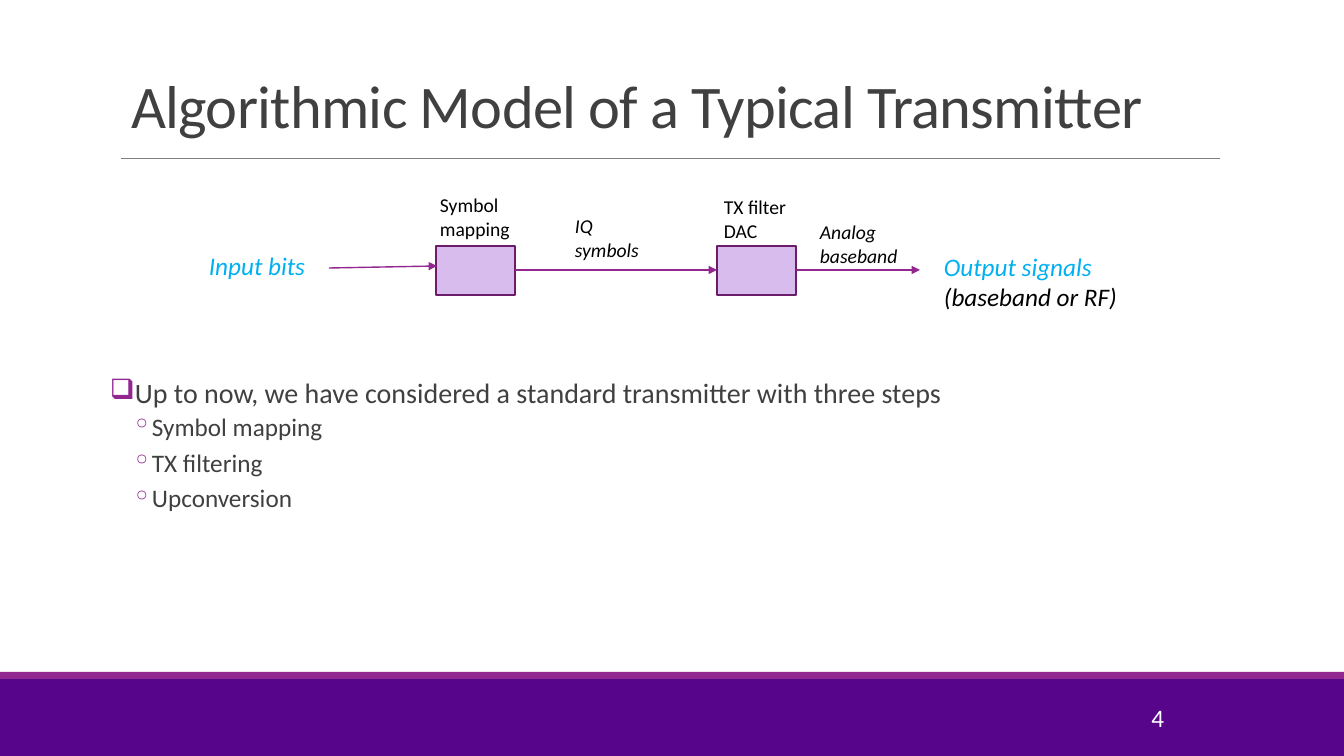
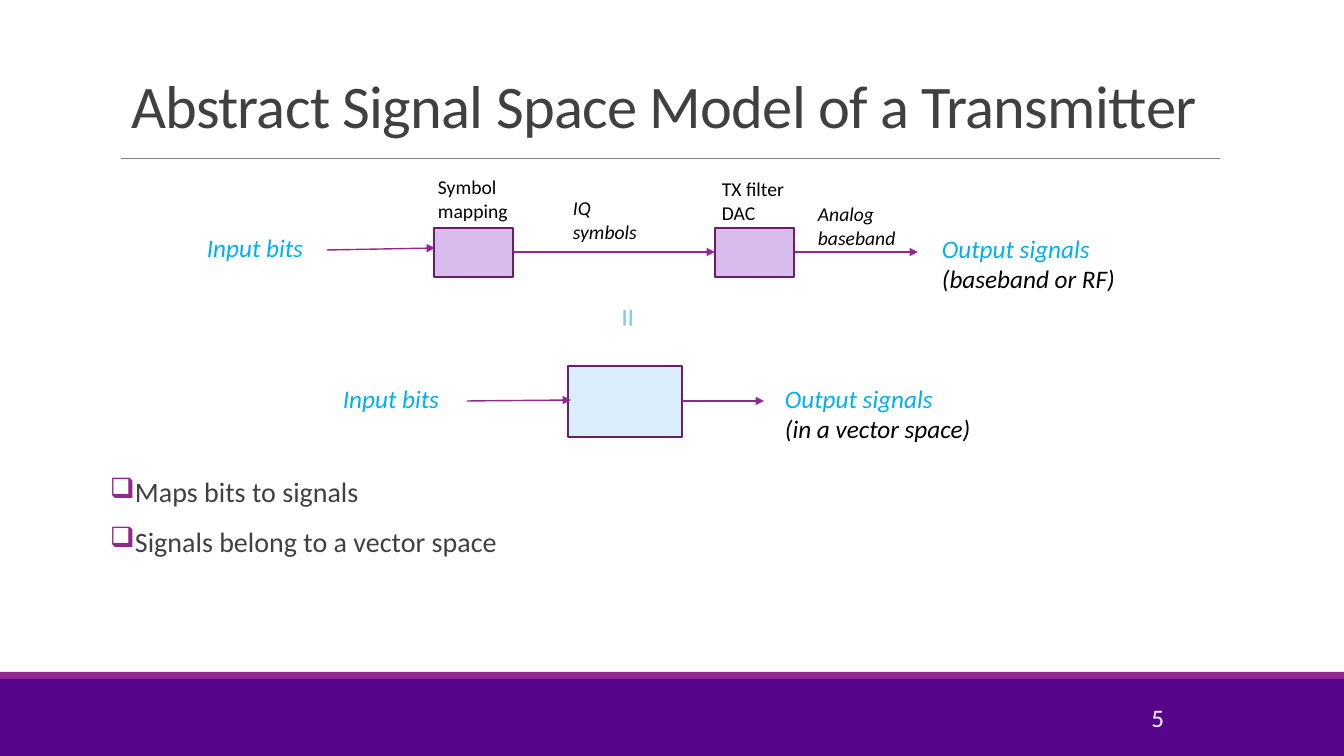
"""Build two slides on the algorithmic and the signal space model of a transmitter."""
from lxml.etree import SubElement
from pptx import Presentation
from pptx.dml.color import RGBColor
from pptx.enum.shapes import MSO_CONNECTOR, MSO_SHAPE
from pptx.enum.text import MSO_ANCHOR, MSO_AUTO_SIZE, PP_ALIGN
from pptx.oxml.ns import qn
from pptx.util import Emu, Pt

EMU_PER_PX = 914400 / 100.8
PAGE_SIZE = (1344, 756)
FONT = "Calibri"
COLORS = {
    "footer": "57068C", "accent": "92278F", "rule": "808080", "text": "404040",
    "white": "FFFFFF", "black": "000000", "signal": "00B0F0",
    "stage": "D7BCED", "model": "DAEDFB", "outline": "6C1D6A", "equals": "8FC9F4",
}

BANDS = [((0, 679, 1344, 77), "footer"), ((0, 672, 1344, 7), "accent")]
TITLE_RULE = ((121, 158), (1220, 158))
TITLE_AREA = (121, 31, 1109, 115)
NUMBER_AREA = (1030, 697, 144, 40)
BODY_LEFT, BODY_WIDTH, BODY_BOTTOM = 110, 1120, 647

LABEL_STYLES = {
    "stage": {"size": 14, "colors": ["black"], "italic": False},
    "flow": {"size": 14, "colors": ["black"], "italic": True},
    "signal": {"size": 18, "colors": ["signal", "black"], "italic": True},
}
BULLETS = [
    {"char": "❑", "size": 20, "margin": 10, "hang": 10, "before": 12, "after": 2},
    {"char": "◦", "size": 18, "margin": 42, "hang": 20, "before": 2, "after": 4},
]

TRANSMITTER = {
    "boxes": [((436, 246, 79, 49), "stage"), ((717, 246, 79, 49), "stage")],
    "arrows": [((329, 268), (437, 266)), ((515, 270), (717, 270)), ((796, 270), (920, 270))],
    "labels": [
        ((430, 188, 104, 57), "stage", ["Symbol mapping"]),
        ((714, 190, 104, 57), "stage", ["TX filter DAC"]),
        ((565, 209, 96, 57), "flow", ["IQ symbols"]),
        ((810, 215, 105, 57), "flow", ["Analog baseband"]),
        ((199, 245, 134, 40), "signal", ["Input bits"]),
        ((934, 246, 228, 72), "signal", ["Output signals", "(baseband or RF)"]),
    ],
}
SIGNAL_SPACE = {
    "boxes": [((568, 366, 114, 71), "model")],
    "arrows": [((467, 401), (571, 400)), ((682, 401), (764, 401))],
    "labels": [
        ((333, 378, 134, 40), "signal", ["Input bits"]),
        ((775, 378, 228, 72), "signal", ["Output signals", "(in a vector space)"]),
    ],
}
PAGES = [
    {
        "title": "Algorithmic Model of a Typical Transmitter",
        "number": "4",
        "diagrams": [(TRANSMITTER, (0, 0))],
        "equals": None,
        "body_top": 374,
        "body": [
            (0, "Up to now, we have considered a standard transmitter with three steps"),
            (1, "Symbol mapping"),
            (1, "TX filtering"),
            (1, "Upconversion"),
        ],
    },
    {
        "title": "Abstract Signal Space Model of a Transmitter",
        "number": "5",
        "diagrams": [(TRANSMITTER, (-2, -18)), (SIGNAL_SPACE, (0, 0))],
        "equals": (611, 290, 40, 57),
        "body_top": 473,
        "body": [(0, "Maps bits to signals"), (0, "Signals belong to a vector space")],
    },
]


def px(value):
    return Emu(round(value * EMU_PER_PX))


def color(name):
    return RGBColor.from_string(COLORS[name])


def shifted(place, offset):
    left, top, *size = place
    return (left + offset[0], top + offset[1], *size)


def add_span(para, text, size, color_name, italic=False):
    span = para.add_run()
    span.text = text
    span.font.name = FONT
    span.font.size = Pt(size)
    span.font.color.rgb = color(color_name)
    span.font.italic = italic
    return span


def add_text_box(page, area):
    box = page.shapes.add_textbox(*map(px, area))
    box.text_frame.word_wrap = True
    return box


def add_rectangle(page, area, fill, outline=None):
    box = page.shapes.add_shape(MSO_SHAPE.RECTANGLE, *map(px, area))
    box.shadow.inherit = False
    box.fill.solid()
    box.fill.fore_color.rgb = color(fill)
    if outline:
        box.line.color.rgb = color(outline)
        box.line.width = Pt(1.25)
    else:
        box.line.fill.background()
    return box


def add_line(page, start, end, color_name, width, arrow=False):
    line = page.shapes.add_connector(MSO_CONNECTOR.STRAIGHT, *map(px, (*start, *end)))
    line.line.color.rgb = color(color_name)
    line.line.width = Pt(width)
    properties = line.element.spPr
    if arrow:
        SubElement(properties.find(qn("a:ln")), qn("a:tailEnd"), type="triangle")
    SubElement(properties, qn("a:effectLst"))
    return line


def add_label(page, area, style_name, lines):
    style = LABEL_STYLES[style_name]
    frame = add_text_box(page, area).text_frame
    for index, (text, color_name) in enumerate(zip(lines, style["colors"])):
        para = frame.add_paragraph() if index else frame.paragraphs[0]
        add_span(para, text, style["size"], color_name, style["italic"])


def add_diagram(page, diagram, offset):
    for area, fill in diagram["boxes"]:
        add_rectangle(page, shifted(area, offset), fill, "outline")
    for start, end in diagram["arrows"]:
        add_line(page, shifted(start, offset), shifted(end, offset), "accent", 1, arrow=True)
    for area, style_name, lines in diagram["labels"]:
        add_label(page, shifted(area, offset), style_name, lines)


def add_equals(page, area):
    box = add_text_box(page, area)
    box.rotation = 90
    box.text_frame.word_wrap = False
    add_span(box.text_frame.paragraphs[0], "=", 28, "equals")


def set_bullet(para, bullet):
    properties = para._p.get_or_add_pPr()
    properties.set("marL", str(px(bullet["margin"])))
    properties.set("indent", str(-px(bullet["hang"])))
    bullet_color = SubElement(properties, qn("a:buClr"))
    SubElement(bullet_color, qn("a:srgbClr"), val=COLORS["accent"])
    SubElement(properties, qn("a:buChar"), char=bullet["char"])


def add_body(page, top, items):
    frame = add_text_box(page, (BODY_LEFT, top, BODY_WIDTH, BODY_BOTTOM - top)).text_frame
    frame.margin_left = frame.margin_right = 0
    for index, (level, text) in enumerate(items):
        bullet = BULLETS[level]
        para = frame.add_paragraph() if index else frame.paragraphs[0]
        para.level = level
        para.line_spacing = 0.9
        para.space_before = Pt(bullet["before"])
        para.space_after = Pt(bullet["after"])
        set_bullet(para, bullet)
        add_span(para, text, bullet["size"], "text")


def set_title(page, text):
    title = page.shapes.title
    title.left, title.top, title.width, title.height = map(px, TITLE_AREA)
    frame = title.text_frame
    frame.word_wrap = True
    frame.auto_size = MSO_AUTO_SIZE.NONE
    frame.vertical_anchor = MSO_ANCHOR.BOTTOM
    para = frame.paragraphs[0]
    para.alignment = PP_ALIGN.LEFT
    para.line_spacing = 0.85
    span = add_span(para, text, 43.2, "text")
    span.font._element.set("spc", "-50")


def add_number(page, number):
    frame = add_text_box(page, NUMBER_AREA).text_frame
    frame.vertical_anchor = MSO_ANCHOR.MIDDLE
    para = frame.paragraphs[0]
    para.alignment = PP_ALIGN.RIGHT
    add_span(para, number, 18, "white")


def add_frame(page, title, number):
    for area, fill in BANDS:
        add_rectangle(page, area, fill)
    add_line(page, *TITLE_RULE, "rule", 0.5)
    set_title(page, title)
    add_number(page, number)


def main():
    deck = Presentation()
    deck.slide_width, deck.slide_height = map(px, PAGE_SIZE)
    title_only = deck.slide_layouts[5]
    for content in PAGES:
        page = deck.slides.add_slide(title_only)
        add_frame(page, content["title"], content["number"])
        add_body(page, content["body_top"], content["body"])
        for diagram, offset in content["diagrams"]:
            add_diagram(page, diagram, offset)
        if content["equals"]:
            add_equals(page, content["equals"])
    deck.save("out.pptx")


if __name__ == "__main__":
    main()
